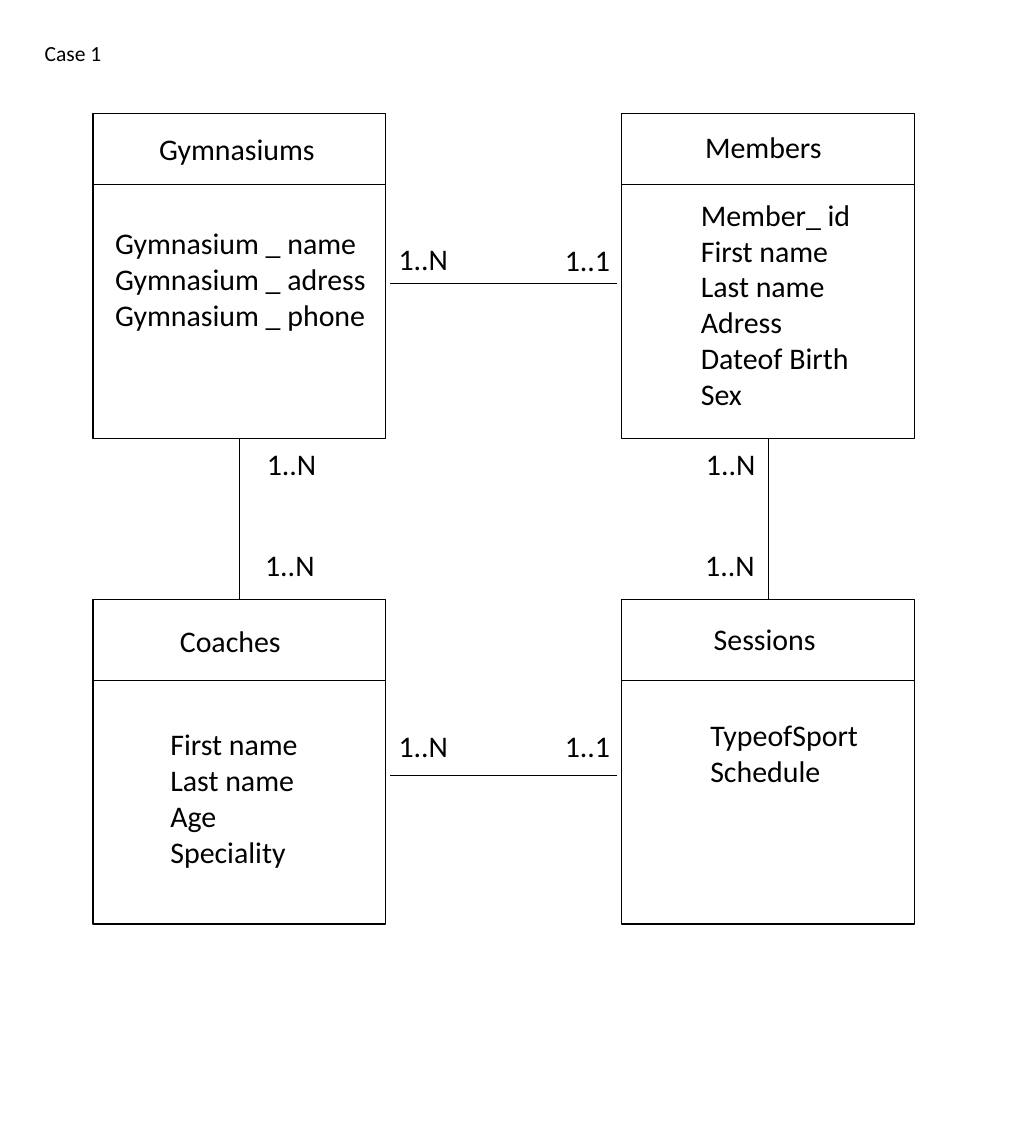
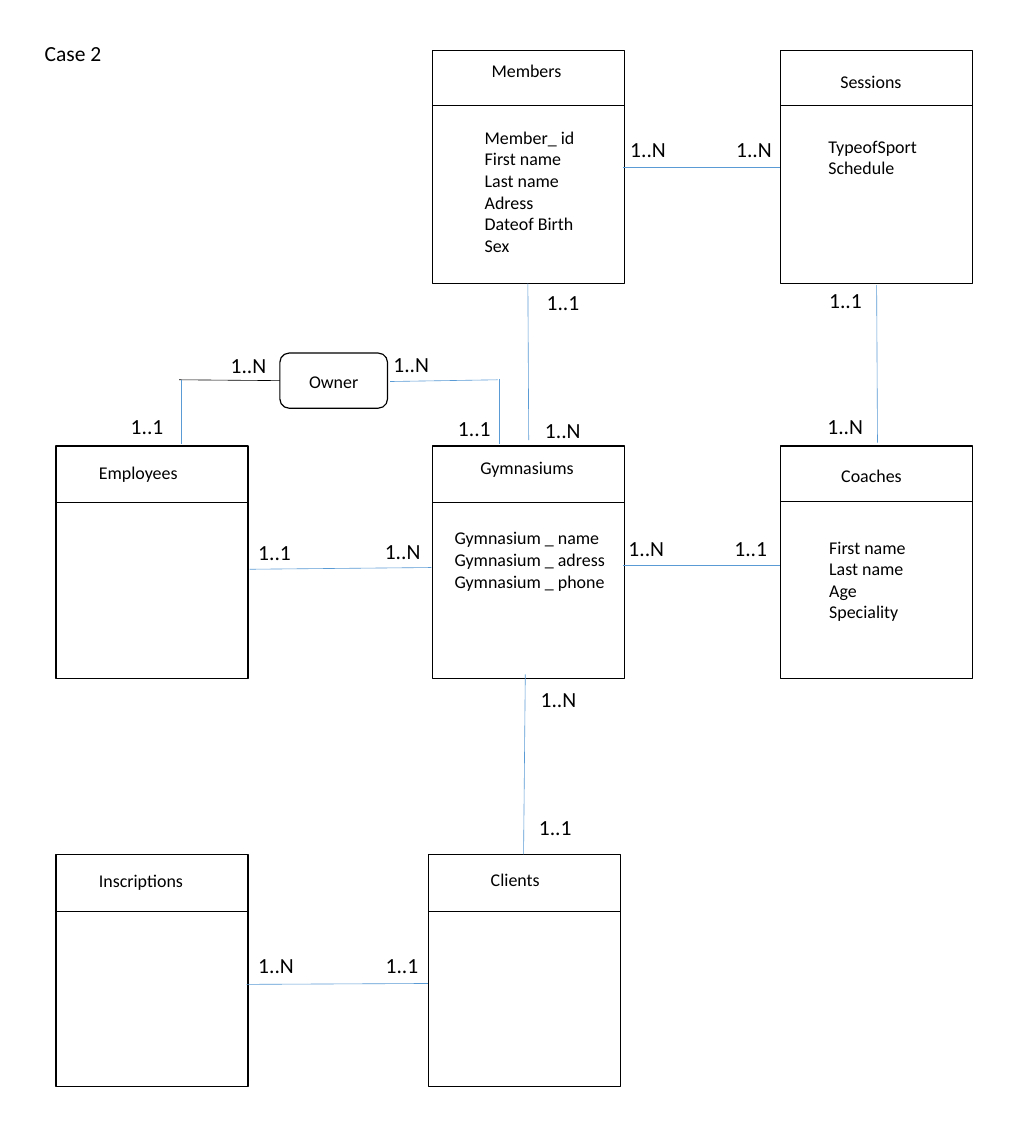
from lxml import etree
from pptx import Presentation
from pptx.dml.color import RGBColor
from pptx.enum.shapes import MSO_CONNECTOR, MSO_SHAPE
from pptx.enum.text import MSO_AUTO_SIZE
from pptx.oxml.ns import qn
from pptx.util import Inches, Pt

BLACK = RGBColor(0, 0, 0)
WHITE = RGBColor(255, 255, 255)
BLUE = RGBColor(0x5B, 0x9B, 0xD5)
FONT = "Calibri"
RECT, ROUND = MSO_SHAPE.RECTANGLE, MSO_SHAPE.ROUNDED_RECTANGLE
STRAIGHT = MSO_CONNECTOR.STRAIGHT
GROW = MSO_AUTO_SIZE.SHAPE_TO_FIT_TEXT
SLACK = 0.05  # spare width that keeps each row on one line


class Chart:
    """Entity diagram: holds the style and the current slide."""

    def __init__(self, deck, title, box, size, mark, widths):
        self.slide = deck.slides.add_slide(deck.slide_layouts[6])
        self.box, self.size, self.mark = box, size, mark
        self.widths = widths
        self.text([title], 0.42, 0.41, 1.75, 18)

    def text(self, rows, x, y, w, size, indent=0):
        high = len(rows) * size * 1.2 / 72 + 0.1
        area = self.slide.shapes.add_textbox(
            Inches(x), Inches(y), Inches(w + SLACK), Inches(high))
        frame = area.text_frame
        frame.word_wrap = True
        frame.auto_size = GROW
        for i, row in enumerate(rows):
            para = frame.add_paragraph() if i else frame.paragraphs[0]
            if indent:
                para._p.get_or_add_pPr().set("marL", str(Inches(indent)))
            run = para.add_run()
            run.text = row
            run.font.name = FONT
            run.font.size = Pt(size)
            run.font.color.rgb = BLACK

    def frame(self, x, y, w, h, kind=RECT):
        shape = self.slide.shapes.add_shape(
            kind, Inches(x), Inches(y), Inches(w), Inches(h))
        shape.shadow.inherit = False
        shape.fill.solid()
        shape.fill.fore_color.rgb = WHITE
        shape.line.color.rgb = BLACK
        shape.line.width = Pt(1)

    def line(self, x1, y1, x2, y2, color=BLACK):
        link = self.slide.shapes.add_connector(
            STRAIGHT, Inches(x1), Inches(y1), Inches(x2), Inches(y2))
        link.line.color.rgb = color
        link.line.width = Pt(0.5)
        etree.SubElement(link._element.spPr, qn("a:effectLst"))

    def entity(self, x, y, rule, name, head, rows=(), body=None, indent=0):
        """Box with a ruled header; head and body are (left, top, width)."""
        w, h = self.box
        self.frame(x, y, w, h)
        self.line(x, rule, x + w, rule)
        self.text([name], *head, self.size)
        if rows:
            self.text(rows, *body, self.size, indent)

    def label(self, many, x, y):
        self.text(["1..N" if many else "1..1"], x, y,
                  self.widths[many], self.mark)


# Attributes shared by both cases
GYM = ["Gymnasium _ name", "Gymnasium _ adress", "Gymnasium _ phone"]
MEMBER = ["Member_ id", "First name", "Last name", "Adress",
          "Dateof Birth", "Sex"]
COACH = ["First name", "Last name", "Age", "Speciality"]
SESSION = ["TypeofSport", "Schedule"]

deck = Presentation()
deck.slide_width, deck.slide_height = Inches(11.81), Inches(13.33)

# Case 1: entities
one = Chart(deck, "Case 1", (3.4, 3.77), 25, 25, (0.73, 0.78))
one.entity(1.08, 1.32, 2.14, "Gymnasiums", (1.75, 1.47, 2.01),
           GYM, (1.01, 2.56, 3.35), 0.23)
one.entity(7.22, 1.32, 2.14, "Members", (8.09, 1.45, 1.55),
           MEMBER, (7.97, 2.23, 2), 0.07)
one.entity(1.08, 6.96, 7.9, "Coaches", (1.99, 7.18, 1.37),
           COACH, (1.81, 8.38, 1.76), 0.07)
one.entity(7.22, 6.96, 7.9, "Sessions", (8.19, 7.16, 1.39),
           SESSION, (7.92, 8.27, 2.15), 0.23)

# Case 1: links and cardinalities
for y in (3.29, 9):
    one.line(4.53, y, 7.16, y)
for x in (2.78, 8.92):
    one.line(x, 5.09, x, 6.96)
for many, x, y in [
        (True, 4.53, 2.74), (False, 6.46, 2.76),
        (True, 4.53, 8.4), (False, 6.46, 8.4),
        (True, 3, 5.12), (True, 2.98, 6.3),
        (True, 8.1, 5.12), (True, 8.09, 6.3)]:
    one.label(many, x, y)

# Case 2: entities
two = Chart(deck, "Case 2", (2.23, 2.7), 15, 18, (0.58, 0.61))
two.entity(5.02, 0.59, 1.22, "Members", (5.61, 0.64, 1.01),
           MEMBER, (5.49, 1.42, 1.29), 0.04)
two.entity(9.06, 0.59, 1.22, "Sessions", (9.66, 0.77, 0.91),
           SESSION, (9.38, 1.52, 1.37), 0.14)
two.entity(0.65, 5.18, 5.83, "Employees", (1.05, 5.31, 1.43))
two.entity(5.02, 5.18, 5.83, "Gymnasiums", (5.48, 5.25, 1.39),
           GYM, (5.04, 6.07, 2.1), 0.14)
two.entity(9.06, 5.18, 5.82, "Coaches", (9.67, 5.34, 0.9),
           COACH, (9.49, 6.18, 1.13), 0.04)
two.entity(0.65, 9.92, 10.58, "Inscriptions", (1.05, 10.05, 1.43))
two.entity(4.98, 9.92, 10.58, "Clients", (5.6, 10.04, 1.04))

# Case 2: owner relation
two.frame(3.25, 4.1, 1.25, 0.64, ROUND)
two.text(["Owner"], 3.49, 4.25, 1.04, 15)
two.line(3.25, 4.42, 2.08, 4.41)

# Case 2: links and cardinalities
for ends in [
        (2.1, 4.41, 2.1, 5.15), (4.53, 4.43, 5.78, 4.41),
        (5.8, 4.4, 5.8, 5.15), (6.1, 7.83, 6.08, 9.92),
        (6.13, 3.29, 6.14, 5.11), (10.18, 3.31, 10.19, 5.14),
        (7.24, 1.94, 9.06, 1.94), (7.24, 6.56, 9.06, 6.56),
        (2.9, 6.61, 5.01, 6.59), (2.86, 11.43, 4.97, 11.42)]:
    two.line(*ends, BLUE)
for many, x, y in [
        (False, 2.9, 6.21), (True, 4.37, 6.2),
        (True, 2.9, 11.01), (False, 4.38, 11),
        (True, 7.2, 6.16), (False, 8.43, 6.16),
        (True, 7.22, 1.53), (True, 8.45, 1.53),
        (True, 9.51, 4.75), (False, 9.53, 3.28),
        (False, 6.16, 9.4), (True, 6.18, 7.92),
        (True, 6.23, 4.79), (False, 6.25, 3.31),
        (True, 4.47, 4.03), (False, 5.22, 4.77),
        (True, 2.58, 4.04), (False, 1.42, 4.75)]:
    two.label(many, x, y)

deck.save("out.pptx")
